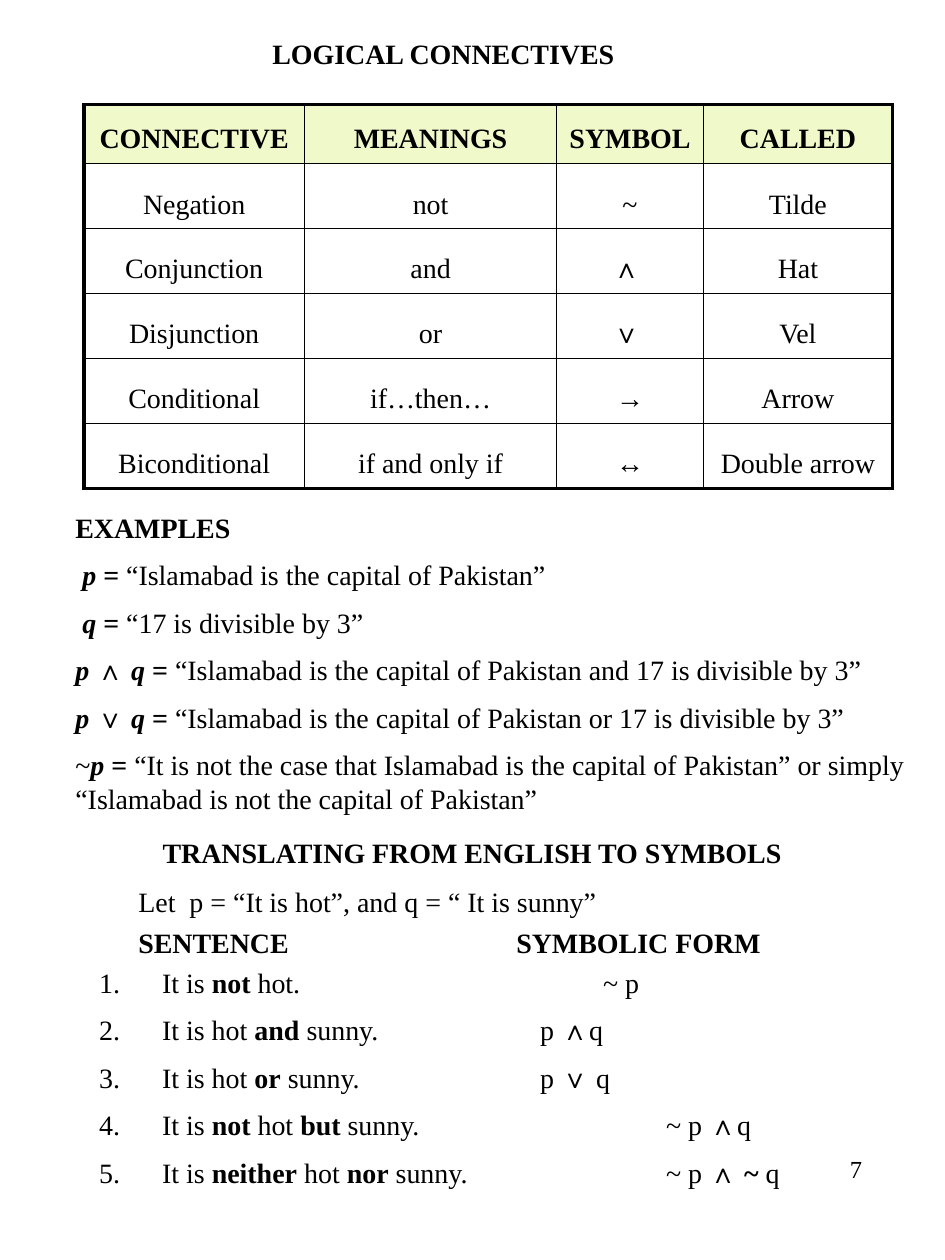
from typing import NamedTuple

from lxml.etree import SubElement
from pptx import Presentation
from pptx.dml.color import RGBColor
from pptx.enum.text import MSO_ANCHOR, MSO_AUTO_SIZE, PP_ALIGN
from pptx.oxml.ns import qn
from pptx.util import Cm, Pt

FONT = "Times New Roman"
BLACK = "000000"
HEADER_FILL = "F0F9C9"
TAB_WIDTH = Cm(2.54)
INDENT = Cm(1.27)


class Span(NamedTuple):
    words: str
    bold: bool = False
    italic: bool = False


class Line(NamedTuple):
    spans: list[Span]
    numbered: bool = False


class Box(NamedTuple):
    left: float
    top: float
    width: float
    height: float
    lines: list[Line]
    align: PP_ALIGN = PP_ALIGN.LEFT
    middle: bool = False
    size: float = 16
    space_before: int = 0
    margin: int = 0
    hanging: int = 0


def plain(words: str) -> Span:
    return Span(words)


def bold(words: str) -> Span:
    return Span(words, bold=True)


def variable(words: str) -> Span:
    return Span(words, bold=True, italic=True)


def hex_color(value: str) -> RGBColor:
    return RGBColor.from_string(value)


def write_line(para, line: Line, align: PP_ALIGN, size: float, space_before: int) -> None:
    """Fill a paragraph; space_before is a percentage of the text size."""
    para.alignment = align
    properties = para._p.get_or_add_pPr()
    properties.set("defTabSz", str(TAB_WIDTH))
    if space_before:
        spacing = SubElement(properties, qn("a:spcBef"))
        SubElement(spacing, qn("a:spcPct"), val=str(space_before * 1000))
    if line.numbered:
        SubElement(properties, qn("a:buAutoNum"), type="arabicPeriod")
    for span in line.spans:
        run = para.add_run()
        run.text = span.words
        run.font.name = FONT
        run.font.size = Pt(size)
        run.font.bold = span.bold
        run.font.italic = span.italic
        run.font.color.rgb = hex_color(BLACK)


def draw_box(page, box: Box) -> None:
    frame = page.shapes.add_textbox(
        Cm(box.left), Cm(box.top), Cm(box.width), Cm(box.height)
    ).text_frame
    frame.word_wrap = True
    frame.auto_size = MSO_AUTO_SIZE.SHAPE_TO_FIT_TEXT if box.space_before else MSO_AUTO_SIZE.NONE
    frame.vertical_anchor = MSO_ANCHOR.MIDDLE if box.middle else MSO_ANCHOR.TOP
    for index, line in enumerate(box.lines):
        para = frame.add_paragraph() if index else frame.paragraphs[0]
        write_line(para, line, box.align, box.size, box.space_before)
        properties = para._p.get_or_add_pPr()
        properties.set("marL", str(box.margin))
        properties.set("indent", str(-box.hanging))


def add_border(cell, side: str, points: float) -> None:
    border = SubElement(cell._tc.get_or_add_tcPr(), qn(f"a:ln{side}"), w=str(Pt(points)))
    fill = SubElement(border, qn("a:solidFill"))
    SubElement(fill, qn("a:srgbClr"), val=BLACK)


def draw_table(page, rows: list[list[str]], widths: list[float], heights: list[float]) -> None:
    table = page.shapes.add_table(
        len(rows), len(widths), Cm(1.69), Cm(2.11), Cm(sum(widths)), Cm(sum(heights))
    ).table
    table.first_row = table.horz_banding = False
    for column, width in zip(table.columns, widths):
        column.width = Cm(width)
    last_row, last_column = len(rows) - 1, len(widths) - 1
    for r, (texts, height) in enumerate(zip(rows, heights)):
        table.rows[r].height = Cm(height)
        for c, text in enumerate(texts):
            cell = table.cell(r, c)
            cell.margin_top = Cm(0.51 if r else 0.38)
            outer = {"L": c == 0, "R": c == last_column, "T": r == 0, "B": r == last_row}
            for side, is_outer in outer.items():
                add_border(cell, side, 2.25 if is_outer else 1)
            if r == 0:
                cell.fill.solid()
                cell.fill.fore_color.rgb = hex_color(HEADER_FILL)
            else:
                cell.fill.background()
            is_bold = r == 0 or text.strip() in ("∧", "∨", "→", "↔")
            line = Line([Span(text, is_bold)])
            write_line(cell.text_frame.paragraphs[0], line, PP_ALIGN.CENTER, 16, 20)


CONNECTIVES = [
    ["CONNECTIVE", "MEANINGS", "SYMBOL", "CALLED"],
    ["Negation", "not", "~", "Tilde"],
    ["Conjunction", "and", "∧ ", "Hat"],
    ["Disjunction", "or", "∨ ", "Vel"],
    ["Conditional", "if…then…", "→", "Arrow"],
    ["Biconditional", "if and only if", "↔", "Double arrow"],
]


def compound(symbol: str, sentence: str) -> Line:
    return Line([variable("p "), bold(symbol), variable("q "), bold("="), plain(sentence)])


EXAMPLES = [
    Line([bold("EXAMPLES")]),
    Line([variable(" p "), bold("= "), plain("“Islamabad is the capital of Pakistan”")]),
    Line([variable(" q "), bold("="), plain(" “17 is divisible by 3”")]),
    compound("∧ ", " “Islamabad is the capital of Pakistan and 17 is divisible by 3”"),
    compound("∨ ", " “Islamabad is the capital of Pakistan or 17 is divisible by 3”"),
    Line([
        plain("~"), variable("p "), bold("= "),
        plain("“It is not the case that Islamabad is the capital of Pakistan” or simply "
              "“Islamabad is not the capital of Pakistan”"),
    ]),
]

SENTENCES = [
    Line([plain("It is "), bold("not"), plain(" hot.\t\t\t~ p")], numbered=True),
    Line([plain("2.\tIt is hot "), bold("and "), plain("sunny.\t\tp "), bold("∧"), plain("q")]),
    Line([plain("3.\tIt is hot "), bold("or"), plain(" sunny.\t\tp "), bold("∨ "), plain("q")]),
    Line([plain("4.\tIt is "), bold("not"), plain(" hot "), bold("but"),
          plain(" sunny.\t\t~ p "), bold("∧"), plain("q")]),
    Line([plain("5.\tIt is "), bold("neither"), plain(" hot "), bold("nor"),
          plain(" sunny.\t\t~ p "), bold("∧ ~ "), plain("q")]),
]

BOXES = [
    Box(13.67, 23.14, 3.96, 1.7, [Line([plain("7")])], PP_ALIGN.RIGHT, size=14),
    Box(0.84, 0.48, 16.2, 1.19, [Line([bold("LOGICAL CONNECTIVES")])],
        PP_ALIGN.CENTER, middle=True),
    Box(0, 10.16, 19.05, 6.71, EXAMPLES, space_before=50, margin=INDENT),
    Box(1.42, 16.51, 16.2, 1.35, [Line([bold("TRANSLATING FROM ENGLISH TO SYMBOLS")])],
        PP_ALIGN.CENTER, middle=True),
    Box(0, 17.7, 19.05, 0.94,
        [Line([plain("\tLet  p = “It is hot”, and q = “ It is sunny”")])], space_before=50),
    Box(0, 18.54, 19.05, 0.94,
        [Line([bold("\tSENTENCE  \t\tSYMBOLIC FORM")])], space_before=50),
    Box(1.75, 19.33, 17.3, 5, SENTENCES, space_before=50, margin=INDENT, hanging=INDENT),
]


def main() -> None:
    deck = Presentation()
    deck.slide_width, deck.slide_height = Cm(19.05), Cm(25.4)
    page = deck.slides.add_slide(deck.slide_layouts[6])
    draw_table(page, CONNECTIVES, [4.45, 5.08, 2.96, 3.81], [1.19] + [1.31] * 5)
    for box in BOXES:
        draw_box(page, box)
    deck.save("out.pptx")


if __name__ == "__main__":
    main()
